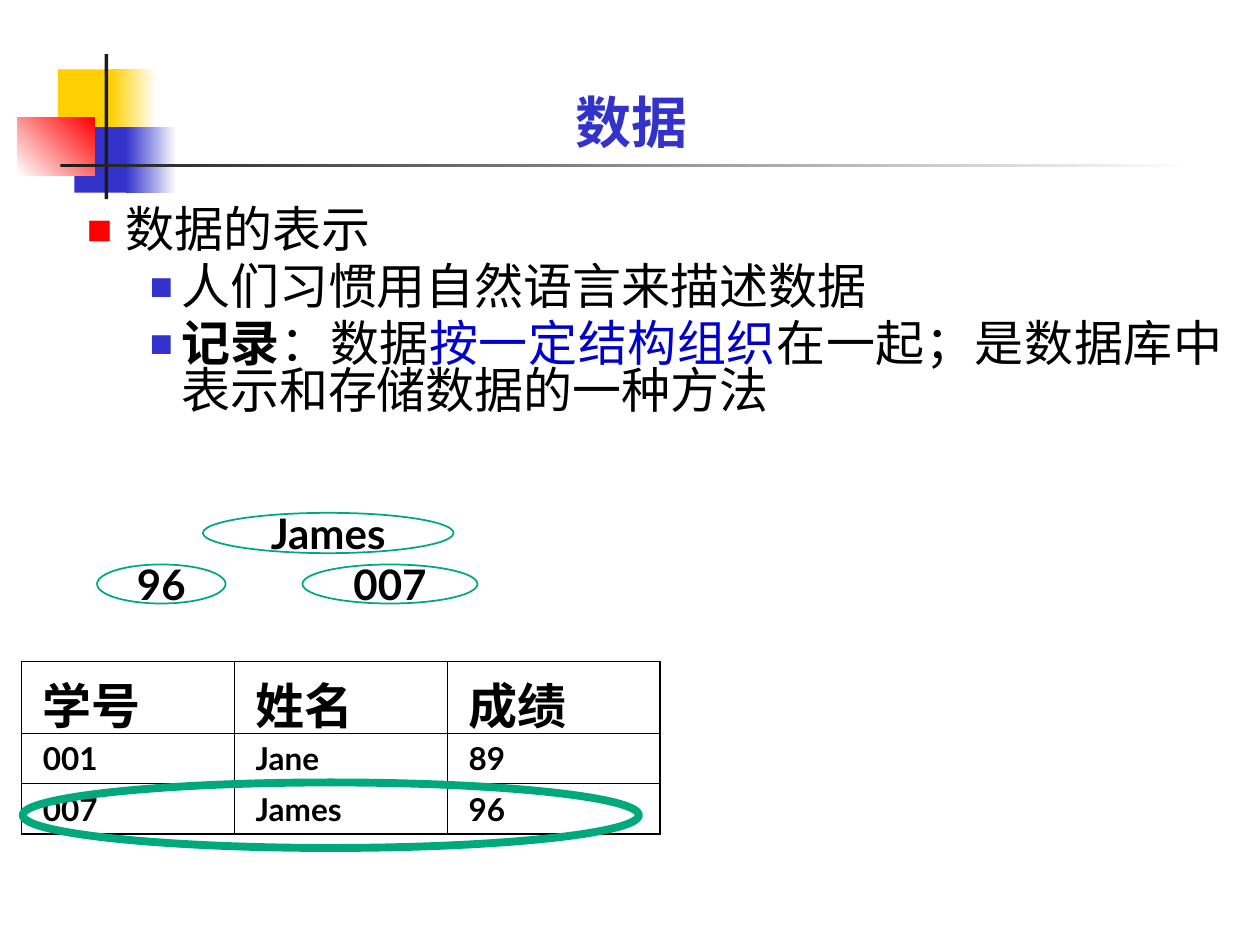
from dataclasses import dataclass
from lxml.etree import SubElement
from pptx import Presentation
from pptx.dml.color import RGBColor
from pptx.enum.shapes import MSO_SHAPE as Preset
from pptx.enum.text import MSO_ANCHOR as Anchor, PP_ALIGN as Align
from pptx.oxml.ns import qn
from pptx.slide import Slide
from pptx.util import Inches, Pt

COLORS = {
    "yellow": "FFCF01", "blue": "3333CC", "red": "FF0000", "white": "FFFFFF",
    "dark": "1C1C1C", "black": "000000", "accent": "0000CC", "green": "00A97C",
}
LATIN, CHINESE = "Lato", "Noto Sans CJK SC"


def rgb(color):
    return RGBColor.from_string(COLORS[color])


@dataclass
class SlideBuilder:
    slide: Slide

    def style(self, run, size, font=LATIN, color="black", bold=False):
        run.font.size, run.font.bold, run.font.name = Pt(size), bold, font
        run.font.color.rgb = rgb(color)
        SubElement(run.font._element, qn("a:ea"), typeface=CHINESE)

    def shape(self, preset, box):
        shape = self.slide.shapes.add_shape(preset, *map(Inches, box))
        shape.shadow.inherit = False
        return shape

    def block(self, box, *colors, angle=0):
        shape = self.shape(Preset.RECTANGLE, box)
        shape.line.fill.background()
        if len(colors) == 1:
            shape.fill.solid()
            shape.fill.fore_color.rgb = rgb(colors[0])
            return
        shape.fill.gradient()
        shape.fill.gradient_angle = angle
        for stop, color in zip(shape.fill.gradient_stops, colors):
            stop.color.rgb = rgb(color)

    def ellipse(self, box, width=1, text=""):
        shape = self.shape(Preset.OVAL, box)
        shape.fill.background()
        shape.line.color.rgb = rgb("green")
        shape.line.width = Pt(width)
        if text:
            frame = shape.text_frame
            frame.text = text
            frame.word_wrap = False
            frame.vertical_anchor = Anchor.MIDDLE
            frame.paragraphs[0].alignment = Align.CENTER
            self.style(frame.paragraphs[0].runs[0], 24, bold=True)

    def text_frame(self, box):
        frame = self.slide.shapes.add_textbox(*map(Inches, box)).text_frame
        frame.word_wrap = True
        return frame

    def title(self, box, text):
        frame = self.text_frame(box)
        frame.text = text
        frame.vertical_anchor = Anchor.BOTTOM
        frame.paragraphs[0].alignment = Align.CENTER
        self.style(frame.paragraphs[0].runs[0], 32, color="blue", bold=True)

    def bullet(self, paragraph, level):
        margin, indent, color, percent = (
            (0.81, -0.31, "red", 55), (1.25, -0.25, "blue", 50))[level]
        paragraph.level = level
        paragraph.alignment = Align.JUSTIFY
        paragraph.line_spacing = 0.8
        properties = paragraph._p.get_or_add_pPr()
        properties.set("marL", str(Inches(margin)))
        properties.set("indent", str(Inches(indent)))
        bullet_color = SubElement(properties, qn("a:buClr"))
        SubElement(bullet_color, qn("a:srgbClr"), val=COLORS[color])
        SubElement(properties, qn("a:buSzPct"), val=str(percent * 1000))
        SubElement(properties, qn("a:buFont"), typeface=LATIN)
        SubElement(properties, qn("a:buChar"), char="■")

    def bullets(self, box, items):
        frame = self.text_frame(box)
        for index, (level, runs) in enumerate(items):
            paragraph = frame.add_paragraph() if index else frame.paragraphs[0]
            self.bullet(paragraph, level)
            if index:
                paragraph.space_before = Pt(5.6)
            for text, look in runs:
                run = paragraph.add_run()
                run.text = text
                self.style(run, 28, CHINESE, **look)

    def border(self, cell):
        properties = cell._tc.get_or_add_tcPr()
        for index, side in enumerate(("lnL", "lnR", "lnT", "lnB")):
            line = properties.makeelement(qn(f"a:{side}"), {"w": str(Pt(1))})
            fill = SubElement(line, qn("a:solidFill"))
            SubElement(fill, qn("a:srgbClr"), val=COLORS["black"])
            properties.insert(index, line)

    def table(self, box, rows, heights):
        table = self.slide.shapes.add_table(
            len(rows), len(rows[0]), *map(Inches, box)).table
        table.first_row = table.horz_banding = False
        for row, height, values in zip(table.rows, heights, rows):
            row.height = Inches(height)
            header = values is rows[0]
            for cell, value in zip(row.cells, values):
                cell.text = value
                cell.fill.background()
                cell.margin_left = cell.margin_right = Inches(0.17)
                self.border(cell)
                self.style(cell.text_frame.paragraphs[0].runs[0],
                           28 if header else 18,
                           CHINESE if header else LATIN, bold=True)


def main():
    presentation = Presentation()
    presentation.slide_width, presentation.slide_height = Inches(10), Inches(7.5)
    builder = SlideBuilder(
        presentation.slides.add_slide(presentation.slide_layouts[6]))

    builder.block((0.46, 0.55, 0.48, 0.52), "yellow")
    builder.block((0.88, 0.55, 0.36, 0.52), "yellow", "white")
    builder.block((0.59, 1.01, 0.46, 0.52), "blue")
    builder.block((1, 1.01, 0.4, 0.52), "blue", "white")
    builder.block((0.14, 0.93, 0.61, 0.46), "white", "red", angle=45)
    builder.block((0.83, 0.43, 0.03, 1.15), "dark")
    builder.block((0.48, 1.3, 9, 0.03), "dark", "white")

    builder.title((0.75, 0.42, 8.52, 0.86), "数据")
    builder.bullets((0.09, 1.62, 9.71, 5.58), [
        (0, [("数据的表示", {})]),
        (1, [("人们习惯用自然语言来描述数据", {})]),
        (1, [("记录", {"bold": True}), ("：数据", {}),
             ("按一定结构组织", {"color": "accent"}),
             ("在一起；是数据库中表示和存储数据的一种方法", {})]),
    ])
    builder.table((0.17, 5.25, 5.07, 1.37), [
        ("学号", "姓名", "成绩"),
        ("001", "Jane", "89"),
        ("007", "James", "96"),
    ], (0.57, 0.4, 0.4))

    builder.ellipse((0.77, 4.48, 1.02, 0.31), text="96")
    builder.ellipse((0.18, 6.21, 4.89, 0.52), width=4.5)
    builder.ellipse((2.4, 4.48, 1.39, 0.31), text="007")
    builder.ellipse((1.61, 4.07, 1.99, 0.32), text="James")

    presentation.save("out.pptx")


if __name__ == "__main__":
    main()
